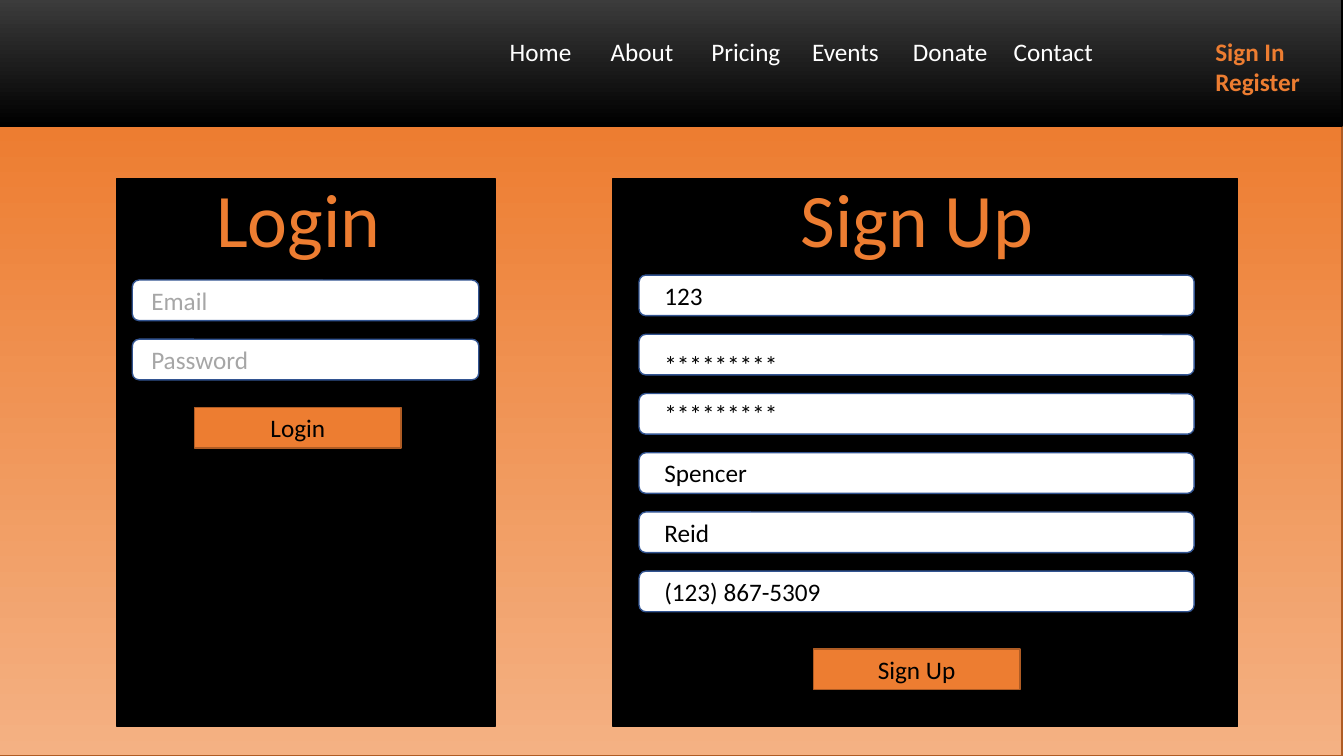
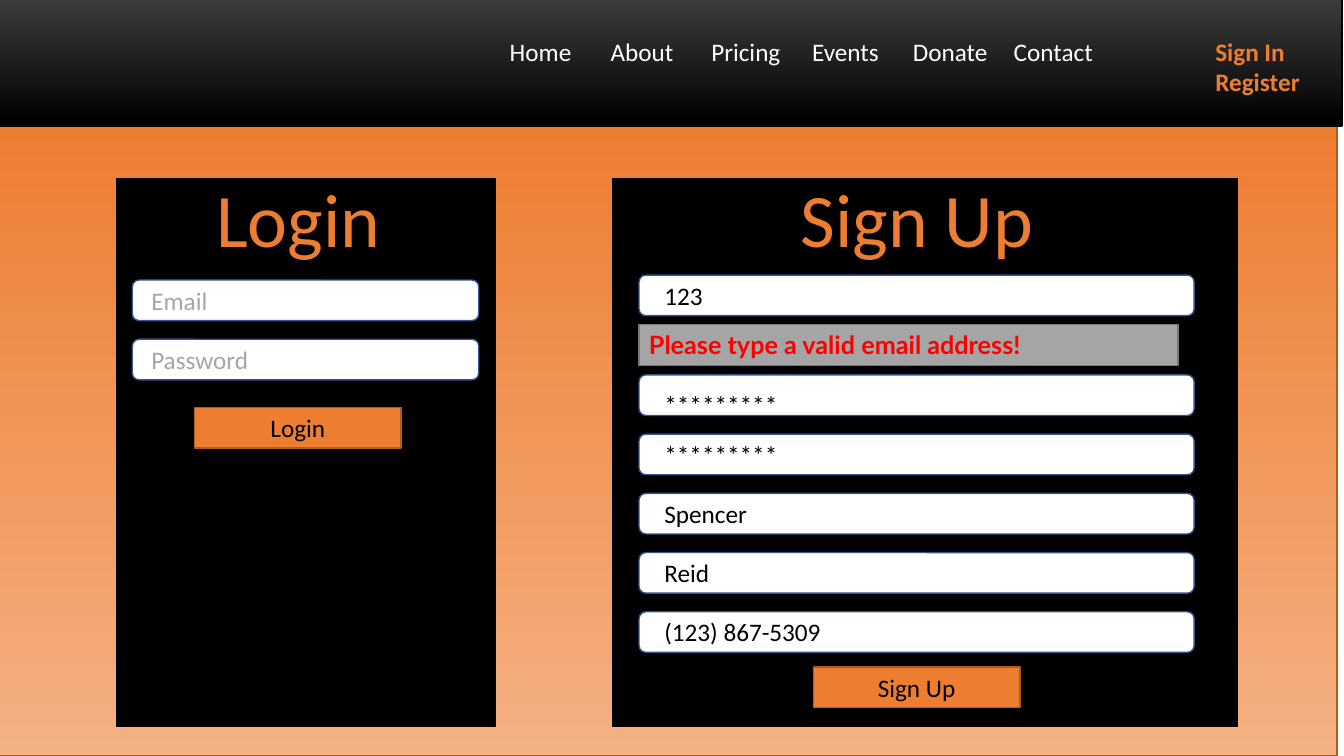
from pptx import Presentation
from pptx import util as u
from pptx.dml import color
from pptx.enum import shapes, text
from pptx.oxml import ns
from lxml import etree

Pt = u.Pt

# Shared look
ORANGE, ORANGE_EDGE, PEACH = "ED7D31", "AF5C24", "F4B183"
BLACK, CHARCOAL, WHITE = "000000", "404040", "FFFFFF"
BLUE_EDGE, HINT = "325491", "A6A6A6"
GRAY, GRAY_EDGE, RED = "A5A5A5", "7A7A7A", "FF0000"
FONT = "Calibri"
RECT = shapes.MSO_SHAPE.RECTANGLE
ROUNDED = shapes.MSO_SHAPE.ROUNDED_RECTANGLE

# Shared measures
ROW_HEIGHT, ROW_PITCH = 29, 42.3
PANEL_TOP, PANEL_HEIGHT = 127.5, 391.5
TITLE_TOP, TITLE_WIDTH, TITLE_HEIGHT = 119.5, 182, 73
BUTTON_WIDTH = 147.5
SIGN_UP_LEFT, SIGN_UP_TOP = 456.5, 196.5

NAV_ITEMS = ["Home", "About", "Pricing", "Events", "Donate", "Contact"]
NAV_STEP = 72
ACCOUNT_STOP = 7 * NAV_STEP

# Text and the distance it sits below its field's top
SIGN_UP_FIELDS = [("123", 0), ("*********", 7), ("*********", 0),
                  ("Spencer", 0), ("Reid", 0), ("(123) 867-5309", 0)]


def rgb(value):
    return color.RGBColor.from_string(value)


def add_box(slide, left, top, width, height, fill, line, kind=RECT):
    """Add a shape; a pair of fills makes a top-to-bottom gradient."""
    shape = slide.shapes.add_shape(kind, Pt(left), Pt(top), Pt(width), Pt(height))
    shape.shadow.inherit = False
    if isinstance(fill, tuple):
        shape.fill.gradient()
        shape.fill.gradient_angle = 270
        for stop, value in zip(shape.fill.gradient_stops, fill):
            stop.color.rgb = rgb(value)
    else:
        shape.fill.solid()
        shape.fill.fore_color.rgb = rgb(fill)
    shape.line.color.rgb = rgb(line)
    shape.line.width = Pt(1)
    return shape


def add_text_box(slide, left, top, width, height):
    return slide.shapes.add_textbox(Pt(left), Pt(top), Pt(width), Pt(height))


def add_run(paragraph, words, size=18, ink=BLACK, bold=False, font=FONT):
    run = paragraph.add_run()
    run.text = words
    run.font.name = font
    run.font.size = Pt(size)
    run.font.bold = bold
    run.font.color.rgb = rgb(ink)


def write(shape, words, align=text.PP_ALIGN.LEFT,
          anchor=text.MSO_ANCHOR.TOP, **style):
    frame = shape.text_frame
    frame.word_wrap = True
    frame.vertical_anchor = anchor
    paragraph = frame.paragraphs[0]
    paragraph.alignment = align
    add_run(paragraph, words, **style)


def set_tabs(paragraph, stops):
    tabs = etree.SubElement(paragraph._p.get_or_add_pPr(), ns.qn("a:tabLst"))
    for stop in stops:
        etree.SubElement(tabs, ns.qn("a:tab"), pos=str(Pt(stop)), algn="l")


def add_navigation(slide):
    add_box(slide, -1.5, -7, 960, 97, (CHARCOAL, BLACK), BLACK)
    frame = add_text_box(slide, 357, 22.5, 586, 51).text_frame
    frame.word_wrap = True

    menu = frame.paragraphs[0]
    set_tabs(menu, [NAV_STEP * i for i in range(1, len(NAV_ITEMS))] + [ACCOUNT_STOP])
    add_run(menu, "\t".join(NAV_ITEMS) + "\t", ink=WHITE)
    add_run(menu, "Sign In", ink=ORANGE, bold=True)

    register = frame.add_paragraph()
    set_tabs(register, [ACCOUNT_STOP])
    add_run(register, "\tRegister", ink=ORANGE, bold=True)


def add_panel(slide, left, width, title, title_left):
    add_box(slide, left, PANEL_TOP, width, PANEL_HEIGHT, BLACK, BLACK)
    box = add_text_box(slide, title_left, TITLE_TOP, TITLE_WIDTH, TITLE_HEIGHT)
    write(box, title, align=text.PP_ALIGN.CENTER, size=54, ink=ORANGE)


def add_field(slide, left, top, width, words, indent, drop=0, ink=BLACK):
    add_box(slide, left, top, width, ROW_HEIGHT, WHITE, BLUE_EDGE, ROUNDED)
    box = add_text_box(slide, left + indent, top + drop, width - indent, ROW_HEIGHT)
    write(box, words, ink=ink)


def add_button(slide, left, top, label):
    button = add_box(slide, left, top, BUTTON_WIDTH, ROW_HEIGHT, ORANGE, ORANGE_EDGE)
    write(button, label, align=text.PP_ALIGN.CENTER, anchor=text.MSO_ANCHOR.MIDDLE)


def add_login(slide):
    add_panel(slide, 83.5, 270, "Login", 122)
    for row, hint in enumerate(["Email", "Password"]):
        add_field(slide, 94.5, 200 + row * ROW_PITCH, 247.5, hint, 6.5, ink=HINT)
    add_button(slide, 139, 291, "Login")


def add_sign_up(slide, button_top, error):
    add_panel(slide, 438, 446, "Sign Up", 564)
    for row, (words, drop) in enumerate(SIGN_UP_FIELDS):
        # An error message pushes the later fields down by one row height
        shift = ROW_HEIGHT if error and row else 0
        top = SIGN_UP_TOP + row * ROW_PITCH + shift
        add_field(slide, SIGN_UP_LEFT, top, 396.5, words, 11, drop)
    add_button(slide, 581, button_top, "Sign Up")
    if error:
        message = add_box(slide, SIGN_UP_LEFT, 232, 385, ROW_HEIGHT, GRAY, GRAY_EDGE)
        write(message, error, ink=RED, bold=True, font="Lato")


def add_page(presentation, backdrop_left, button_top, error=""):
    slide = presentation.slides.add_slide(presentation.slide_layouts[6])
    add_box(slide, backdrop_left, 90, 960, 450, (ORANGE, PEACH), ORANGE_EDGE)
    add_navigation(slide)
    add_login(slide)
    add_sign_up(slide, button_top, error)


def main():
    presentation = Presentation()
    presentation.slide_width, presentation.slide_height = Pt(960), Pt(540)
    add_page(presentation, -1.5, 463.5)
    add_page(presentation, -5, 476.5, "Please type a valid email address!")
    presentation.save("out.pptx")


if __name__ == "__main__":
    main()
